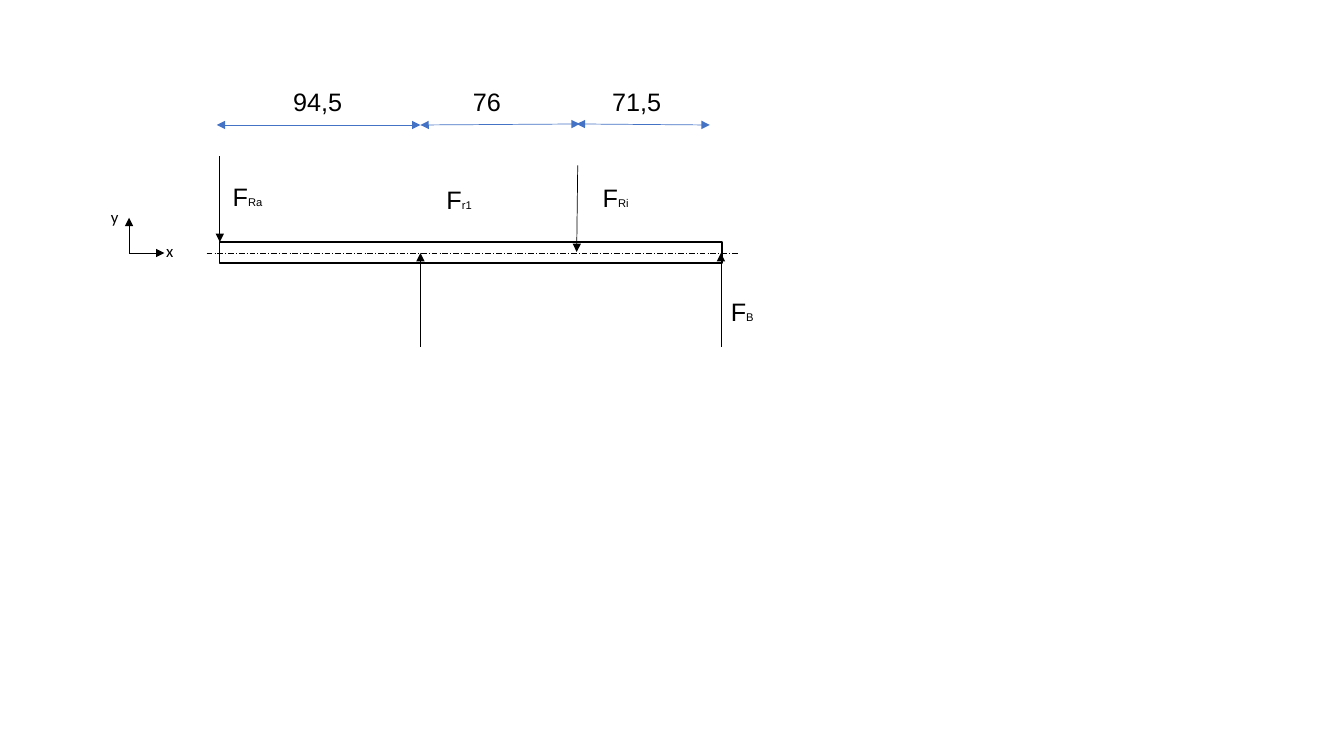
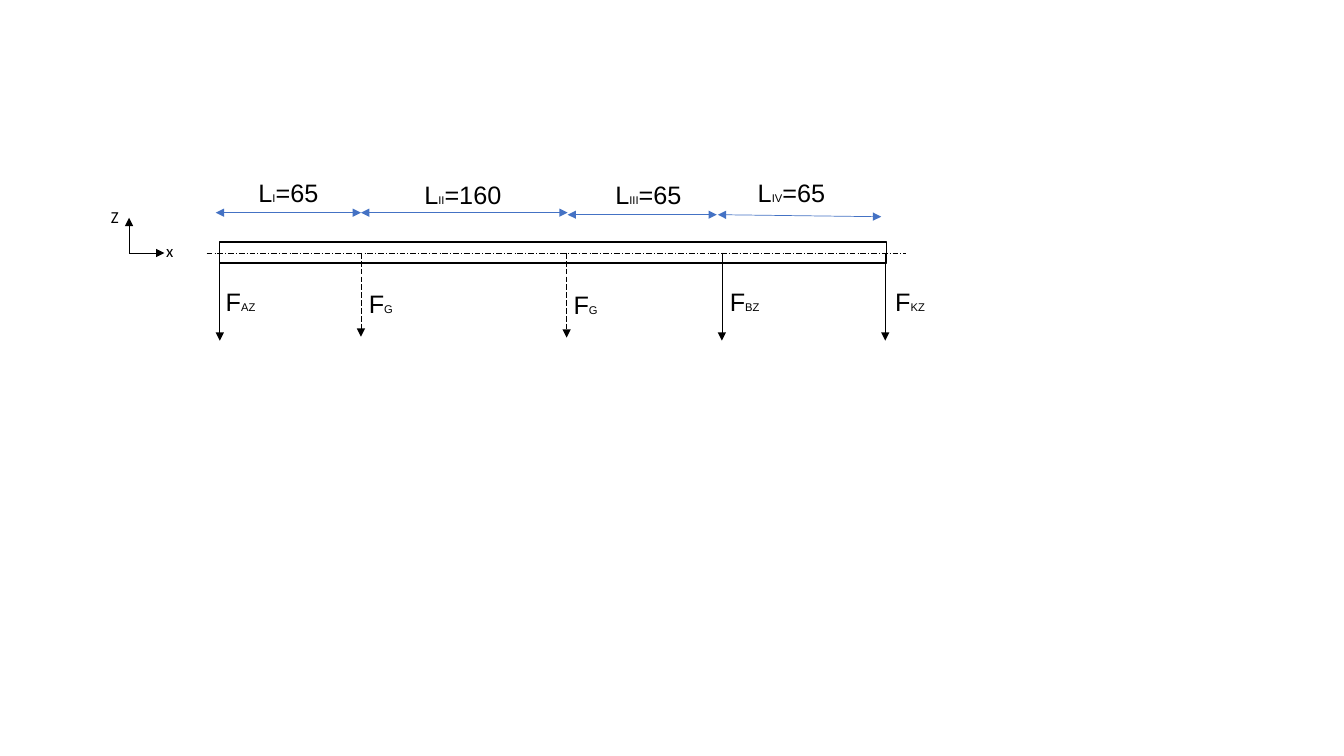
import pptx
import pptx.util
import pptx.dml.color
import pptx.enum.dml
import pptx.enum.shapes
import pptx.enum.text
import pptx.oxml.ns
import lxml.etree

Inches = pptx.util.Inches
Pt = pptx.util.Pt
Dash = pptx.enum.dml.MSO_LINE
Align = pptx.enum.text.PP_ALIGN

COLORS = {name: pptx.dml.color.RGBColor.from_string(value)
          for name, value in {"ink": "000000", "dimension": "4472C4"}.items()}
SIZES = {"main": 18, "sub": 8, "axis": 12}
BEAM_LEFT, BEAM_TOP, BEAM_HEIGHT = 2.18, 2.4, 0.21
AXIS_Y = 2.51
LABEL_HEIGHT = 0.4


def add_line(shapes, start, end, color="ink", ends=("tail",), dash=None):
    """Draw a thin line; "head" puts an arrowhead at start, "tail" at end."""
    line = shapes.add_connector(pptx.enum.shapes.MSO_CONNECTOR.STRAIGHT,
                                *[Inches(v) for v in start + end])
    line.line.color.rgb = COLORS[color]
    line.line.width = Pt(0.5)
    if dash is not None:
        line.line.dash_style = dash
    sp_pr = line._element.spPr
    ln = line.line._get_or_add_ln()
    for name in ends:
        lxml.etree.SubElement(ln, pptx.oxml.ns.qn(f"a:{name}End"), type="triangle")
    lxml.etree.SubElement(sp_pr, pptx.oxml.ns.qn("a:effectLst"))


def add_label(shapes, box, runs, align=Align.LEFT, font="Arial"):
    """Add a text box; runs are (text, size name) pairs."""
    tf = shapes.add_textbox(*[Inches(v) for v in box]).text_frame
    tf.word_wrap = True
    tf.auto_size = pptx.enum.text.MSO_AUTO_SIZE.SHAPE_TO_FIT_TEXT
    p = tf.paragraphs[0]
    p.alignment = align
    for text, size in runs:
        r = p.add_run()
        r.text = text
        r.font.name = font
        r.font.size = Pt(SIZES[size])
        r.font.color.rgb = COLORS["ink"]


# dimensions: start, end, label left, top, width, runs
# forces: start, end, dash, label left, top, width, subscript
diagrams = [
    {
        "vertical": "y", "beam_width": 4.98, "axis_end": 7.32,
        "dimensions": [
            ((2.15, 1.24), (4.17, 1.24), 2.63, 0.81, 1.04, [("94,5", "main")]),
            ((4.17, 1.24), (5.75, 1.23), 4.31, 0.81, 1.04, [("76", "main")]),
            ((5.72, 1.23), (7.04, 1.24), 5.72, 0.81, 1.19, [("71,5", "main")]),
        ],
        "forces": [
            ((2.18, 1.55), (2.18, 2.4), None, 2.21, 1.75, 0.52, "Ra"),
            ((4.17, 3.44), (4.17, AXIS_Y), None, 4.33, 1.78, 0.7, "r1"),
            ((5.73, 1.64), (5.72, 2.5), None, 5.88, 1.76, 0.7, "Ri"),
            ((7.15, 3.44), (7.15, AXIS_Y), None, 7.15, 2.89, 0.52, "B"),
        ],
    },
    {
        "vertical": "Z", "beam_width": 6.61, "axis_end": 8.99,
        "dimensions": [
            (start, end, left, top, width,
             [("L", "main"), (index, "sub"), (f"={length}", "main")])
            for start, end, left, top, width, index, length in [
                ((2.14, 2.11), (3.58, 2.11), 2.34, 1.71, 1.04, "I", 65),
                ((3.58, 2.11), (5.63, 2.11), 4.07, 1.73, 1.04, "II", 160),
                ((5.63, 2.13), (7.11, 2.13), 5.84, 1.73, 1.18, "III", 65),
                ((7.12, 2.13), (8.74, 2.15), 7.33, 1.71, 1.04, "IV", 65),
            ]
        ],
        "forces": [
            ((x, AXIS_Y), (x, tip), dash, left, top, 0.52, sub)
            for x, tip, dash, left, top, sub in [
                (2.18, 3.38, None, 2.14, 2.79, "AZ"),
                (3.58, 3.34, Dash.LONG_DASH, 3.56, 2.81, "G"),
                (5.62, 3.35, Dash.LONG_DASH, 5.59, 2.82, "G"),
                (7.16, 3.38, None, 7.14, 2.79, "BZ"),
                (8.78, 3.38, None, 8.78, 2.79, "KZ"),
            ]
        ],
    },
]

prs = pptx.Presentation()
prs.slide_width, prs.slide_height = Inches(13.33), Inches(7.5)
blank = prs.slide_layouts[6]

for diagram in diagrams:
    s = prs.slides.add_slide(blank)

    beam = s.shapes.add_shape(
        pptx.enum.shapes.MSO_SHAPE.RECTANGLE, Inches(BEAM_LEFT), Inches(BEAM_TOP),
        Inches(diagram["beam_width"]), Inches(BEAM_HEIGHT))
    beam.shadow.inherit = False
    beam.fill.background()
    beam.line.color.rgb = COLORS["ink"]
    beam.line.width = Pt(1)
    add_line(s.shapes, (2.05, AXIS_Y), (diagram["axis_end"], AXIS_Y),
             ends=(), dash=Dash.LONG_DASH_DOT)

    axes = s.shapes.add_group_shape().shapes
    origin = (1.28, AXIS_Y)
    for tip, left, top, name in [((1.28, 2.16), 1, 2, diagram["vertical"]),
                                 ((1.63, AXIS_Y), 1.55, 2.34, "x")]:
        add_line(axes, origin, tip)
        add_label(axes, (left, top, 0.28, 0.3), [(name, "axis")], font="Calibri")

    dimensions = s.shapes.add_group_shape().shapes
    for start, end, left, top, width, runs in diagram["dimensions"]:
        add_line(dimensions, start, end, "dimension", ("head", "tail"))
        add_label(dimensions, (left, top, width, LABEL_HEIGHT), runs, Align.CENTER)

    for start, end, dash, left, top, width, sub in diagram["forces"]:
        add_line(s.shapes, start, end, dash=dash)
        add_label(s.shapes, (left, top, width, LABEL_HEIGHT),
                  [("F", "main"), (sub, "sub")])

prs.save("out.pptx")
